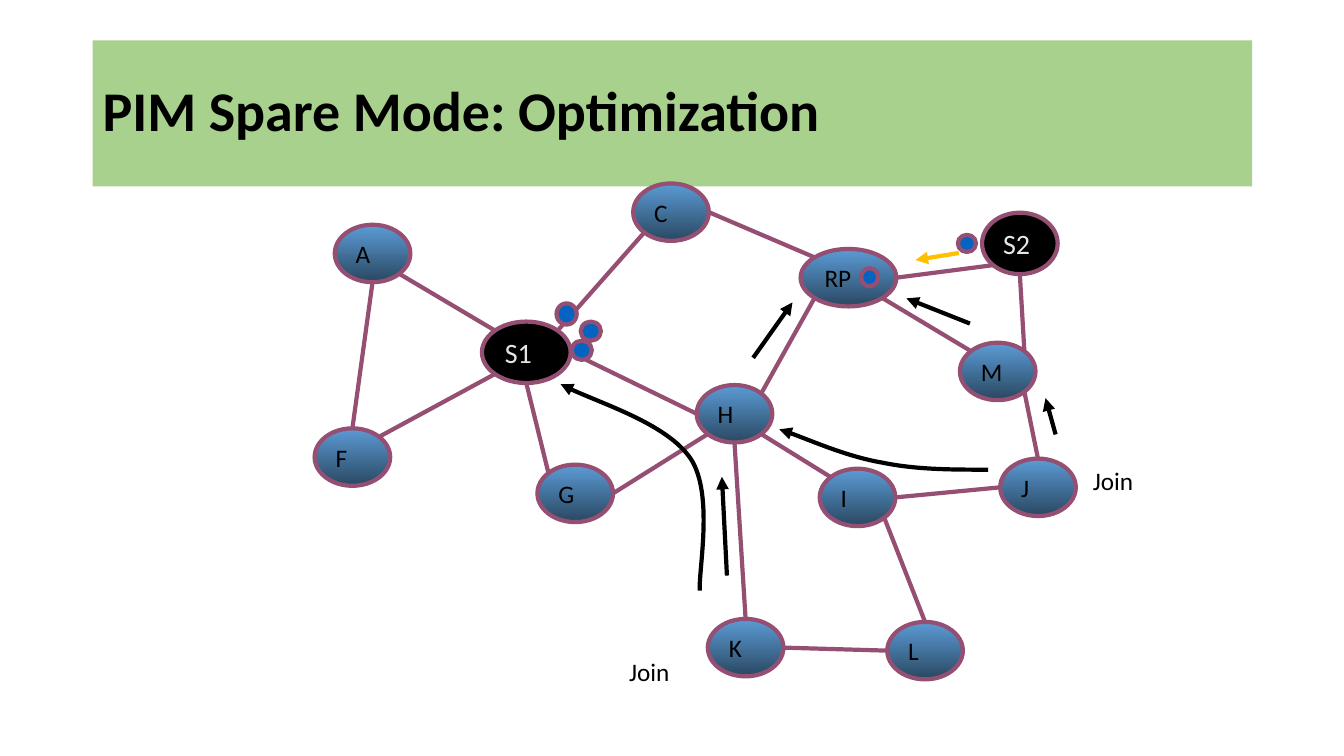
from math import sqrt

from lxml import etree
from pptx import Presentation
from pptx.dml.color import RGBColor
from pptx.enum.shapes import MSO_CONNECTOR, MSO_SHAPE
from pptx.enum.text import MSO_ANCHOR, MSO_AUTO_SIZE, PP_ALIGN
from pptx.oxml.ns import qn
from pptx.util import Inches, Pt

LEFT = PP_ALIGN.LEFT
MIDDLE = MSO_ANCHOR.MIDDLE
GROW = MSO_AUTO_SIZE.SHAPE_TO_FIT_TEXT
FONT = "Calibri"
BLACK, PLUM, BLUE, GOLD = "000000", "954F72", "0563C1", "FFC000"
STEEL, DARK_STEEL, PALE, GREEN = "5B9BD5", "2A4862", "E7E6E6", "A9D18E"

TITLE = "PIM Spare Mode: Optimization"
ROUTER_W, ROUTER_H, SOURCE_H = 0.75, 0.57, 0.61
# name: left, top, width, height
ROUTERS = {
    "A": (3.32, 2.23, ROUTER_W, ROUTER_H),
    "C": (6.28, 1.82, ROUTER_W, ROUTER_H),
    "RP": (7.94, 2.47, 0.95, ROUTER_H),
    "F": (3.12, 4.25, ROUTER_W, ROUTER_H),
    "H": (6.91, 3.82, ROUTER_W, ROUTER_H),
    "G": (5.33, 4.61, ROUTER_W, ROUTER_H),
    "I": (8.13, 4.65, ROUTER_W, ROUTER_H),
    "J": (9.92, 4.55, ROUTER_W, ROUTER_H),
    "L": (8.8, 6.17, ROUTER_W, ROUTER_H),
    "K": (7.02, 6.14, ROUTER_W, ROUTER_H),
    "M": (9.52, 3.4, ROUTER_W, ROUTER_H),
}
SOURCES = {
    "S1": (4.78, 3.19, 0.88, SOURCE_H),
    "S2": (9.74, 2.11, ROUTER_W, SOURCE_H),
}
# node, side, node, side
LINKS = [
    ("S1", "E", "H", "W"), ("A", "SE", "S1", "NW"), ("F", "NE", "S1", "SW"),
    ("S1", "S", "G", "NW"), ("S1", "NE", "C", "SW"), ("H", "NE", "RP", "SW"),
    ("RP", "E", "S2", "SW"), ("H", "SE", "I", "NW"), ("I", "E", "J", "W"),
    ("K", "E", "L", "W"), ("M", "NW", "RP", "SE"), ("A", "S", "F", "N"),
    ("C", "E", "RP", "NW"), ("G", "E", "H", "SW"), ("S2", "S", "M", "NE"),
    ("L", "N", "I", "SE"), ("J", "N", "M", "SE"), ("K", "N", "H", "S"),
]
JOIN_LABELS = [(10.74, 4.57), (6.14, 6.46)]
ARROWS = [
    ((10.47, 4.31), (10.37, 3.95), BLACK),
    ((9.62, 3.21), (8.99, 2.96), BLACK),
    ((7.21, 5.71), (7.16, 4.73), BLACK),
    ((7.47, 3.55), (7.86, 3.0), BLACK),
    ((9.51, 2.51), (9.08, 2.58), GOLD),
]
# start point, then three Bezier points for each segment
JOIN_CURVES = [
    [(6.94, 5.86), (6.93, 5.64), (7.08, 4.9), (6.85, 4.55),
     (6.62, 4.21), (5.83, 3.96), (5.56, 3.81)],
    [(9.8, 4.66), (9.44, 4.66), (9.09, 4.66), (8.75, 4.59),
     (8.4, 4.53), (7.9, 4.31), (7.73, 4.26)],
]
PACKETS = [
    (5.52, 3.01, 0.2, 0.21), (9.5, 2.33, 0.18, 0.17), (8.54, 2.66, 0.17, 0.18),
    (5.67, 3.38, 0.2, 0.19), (5.76, 3.19, 0.2, 0.19),
]


def rgb(value):
    return RGBColor.from_string(value)


def set_line(sp, color):
    sp.line.color.rgb = rgb(color)
    sp.line.width = Pt(3)


def add_head(sp):
    """Put an arrowhead at the end of a line."""
    etree.SubElement(sp.line._get_or_add_ln(), qn("a:tailEnd"), type="triangle")


def set_text(sp, text, size, color, bold=False):
    tf = sp.text_frame
    tf.text = text
    p = tf.paragraphs[0]
    p.alignment = LEFT
    font = p.runs[0].font
    font.name, font.size, font.bold = FONT, Pt(size), bold
    font.color.rgb = rgb(color)
    return tf


def add_solid(kind, box, fill):
    sp = shapes.add_shape(kind, *map(Inches, box))
    sp.shadow.inherit = False
    sp.fill.solid()
    sp.fill.fore_color.rgb = rgb(fill)
    return sp


def add_node(name, box, size, color):
    sp = add_solid(MSO_SHAPE.OVAL, box, BLACK)
    set_line(sp, PLUM)
    tf = set_text(sp, name, size, color)
    tf.word_wrap = True
    tf.vertical_anchor = MIDDLE
    tf.auto_size = GROW
    return sp


def shade_downwards(sp):
    """Fill with steel blue that darkens towards the bottom."""
    sp.fill.gradient()
    sp.fill.gradient_angle = 270
    for position, stop in enumerate(sp.fill.gradient_stops):
        stop.color.rgb = rgb((STEEL, DARK_STEEL)[position])
        stop.position = position


def side_point(name, side):
    """Point on a node's outline in a compass direction."""
    x, y, w, h = nodes[name]
    dx = ("E" in side) - ("W" in side)
    dy = ("S" in side) - ("N" in side)
    reach = 0.5 / sqrt(len(side))
    return x + w * (0.5 + dx * reach), y + h * (0.5 + dy * reach)


def add_line(start, end, color):
    sp = shapes.add_connector(MSO_CONNECTOR.STRAIGHT, *map(Inches, start + end))
    set_line(sp, color)
    etree.SubElement(sp._element.spPr, qn("a:effectLst"))
    return sp


def add_curve(points):
    start, *rest = [(Inches(x), Inches(y)) for x, y in points]
    builder = shapes.build_freeform(*start)
    builder.add_line_segments(rest, close=False)
    sp = builder.convert_to_shape()
    steps = list(sp._element.spPr.iter(qn("a:lnTo")))
    for i in range(0, len(steps), 3):
        bezier = etree.Element(qn("a:cubicBezTo"))
        steps[i].addprevious(bezier)
        for step in steps[i:i + 3]:
            bezier.append(step[0])
            step.getparent().remove(step)
    sp.fill.background()
    sp.shadow.inherit = False
    set_line(sp, BLACK)
    add_head(sp)


prs = Presentation()
prs.slide_width, prs.slide_height = Inches(13.33), Inches(7.5)
shapes = prs.slides.add_slide(prs.slide_layouts[6]).shapes
nodes = {**ROUTERS, **SOURCES}

banner = add_solid(MSO_SHAPE.RECTANGLE, (0.92, 0.4, 11.5, 1.45), GREEN)
banner.line.fill.background()
tf = set_text(banner, TITLE, 40, BLACK, bold=True)
tf.word_wrap = True
tf.vertical_anchor = MIDDLE
tf.paragraphs[0].line_spacing = 0.9

for name, box in ROUTERS.items():
    shade_downwards(add_node(name, box, 18, BLACK))
for name, box in SOURCES.items():
    add_node(name, box, 20, PALE)
for a, side_a, b, side_b in LINKS:
    add_line(side_point(a, side_a), side_point(b, side_b), PLUM)
for x, y in JOIN_LABELS:
    label = shapes.add_textbox(*map(Inches, (x, y, 0.61, 0.4)))
    tf = set_text(label, "Join", 18, BLACK)
    tf.word_wrap = False
    tf.auto_size = GROW
for points in JOIN_CURVES:
    add_curve(points)
for box in PACKETS:
    set_line(add_solid(MSO_SHAPE.OVAL, box, BLUE), PLUM)
for start, end, color in ARROWS:
    add_head(add_line(start, end, color))

prs.save("out.pptx")
